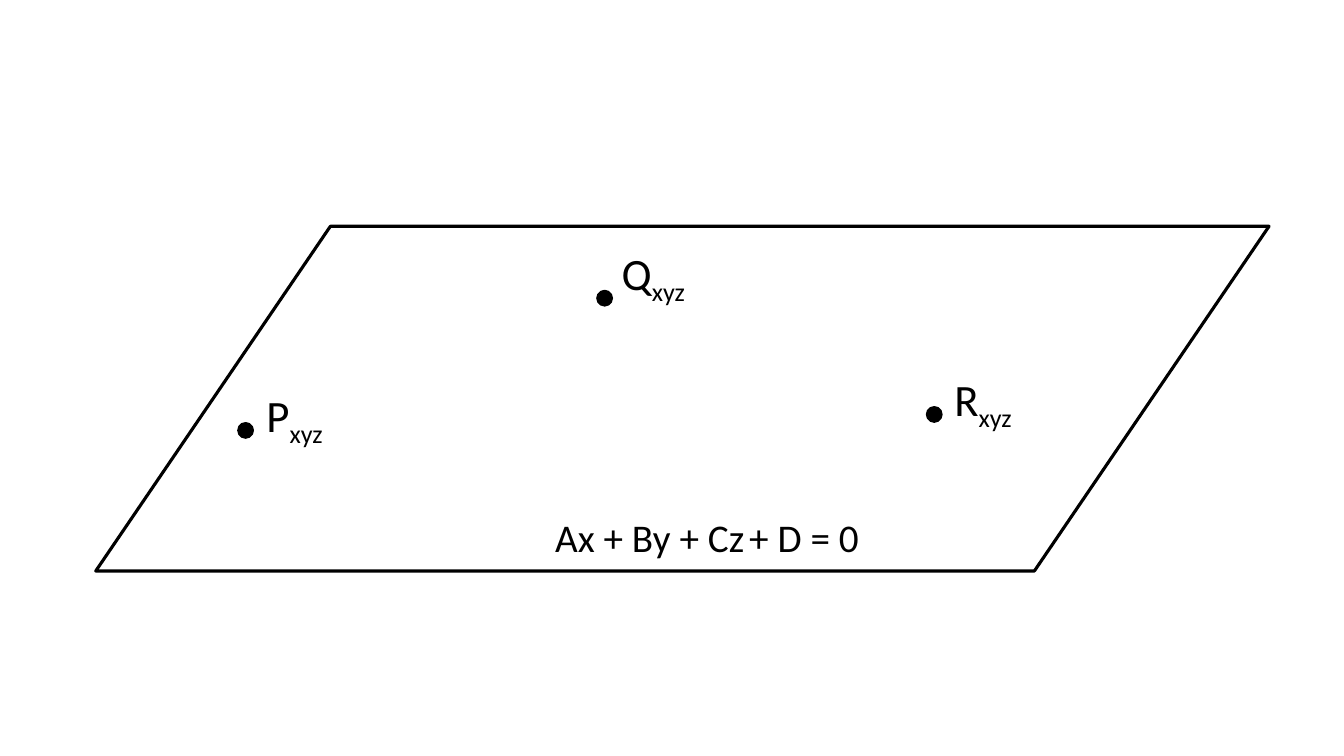
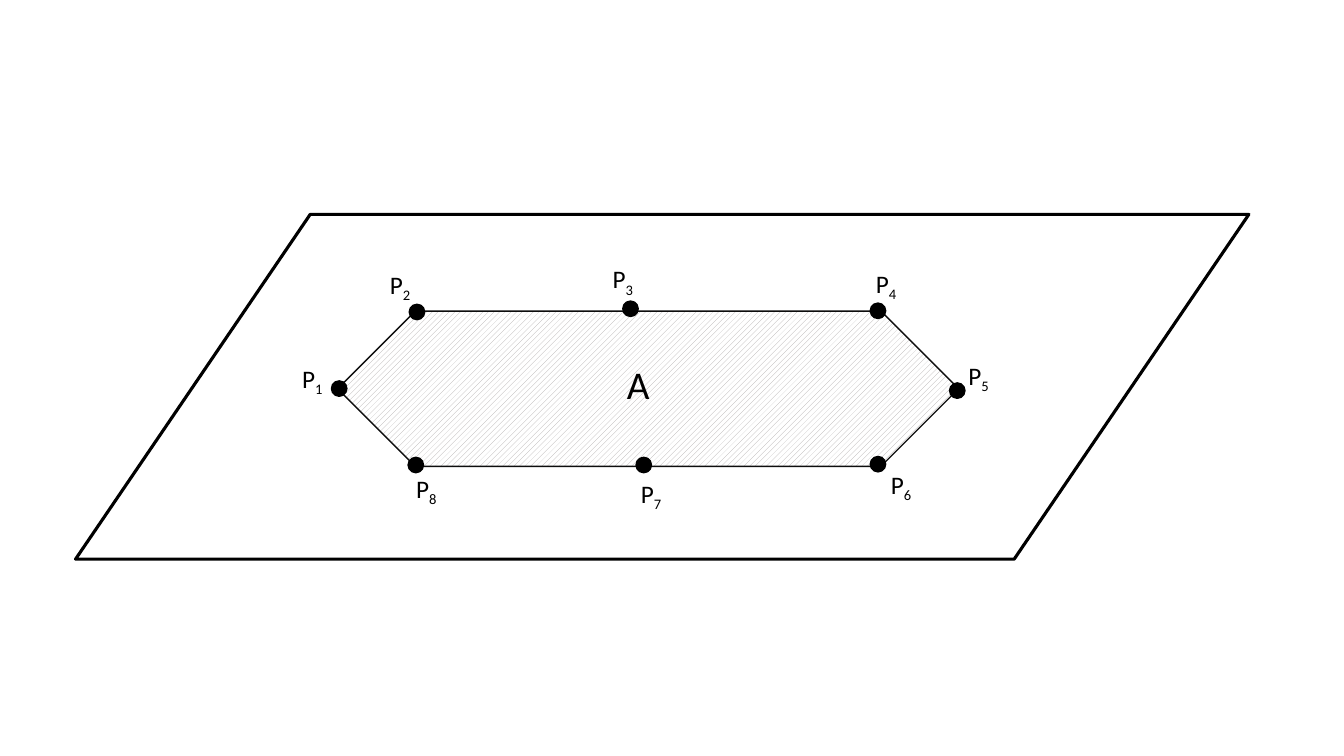
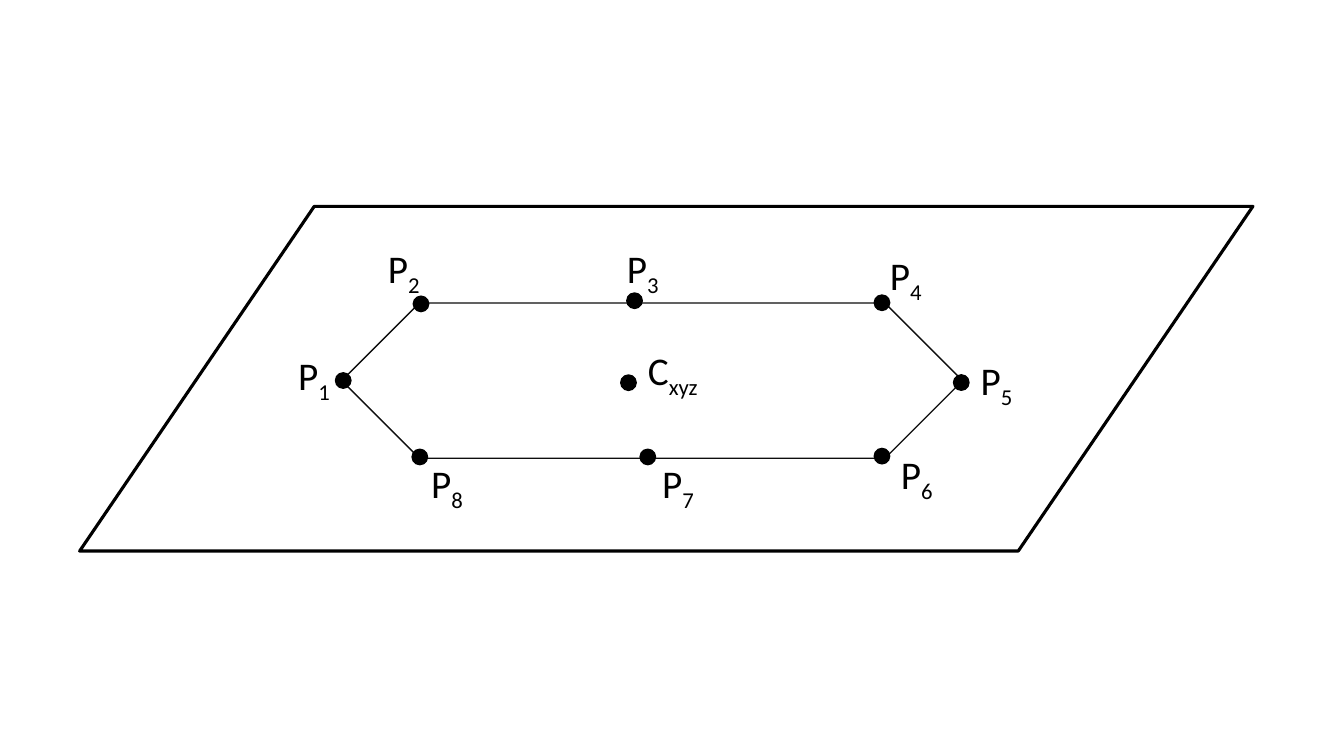
from pptx import Presentation
from pptx.dml.color import RGBColor
from pptx.enum.dml import MSO_PATTERN as Pattern
from pptx.enum.shapes import MSO_SHAPE as Shape
from pptx.enum.text import MSO_AUTO_SIZE as AutoSize
from pptx.util import Emu, Pt

BLACK = RGBColor(0x00, 0x00, 0x00)
OUTLINE = RGBColor(0x0D, 0x0D, 0x0D)
HATCH = RGBColor(0xAF, 0xAB, 0xAB)
WHITE = RGBColor(0xFF, 0xFF, 0xFF)

COLUMNS, ROWS = 80, 45
CELL = 152400
PLANE_SIZE = (69.84, 20.52)
REGION = (15.6, 5.76, 36.96, 9.24)
DOT = 0.92

# Dot centres, in cells from the corner of the plane
BORDER = [(15.69, 10.37), (20.32, 5.81), (33.03, 5.62), (47.76, 5.74),
          (52.48, 10.49), (47.76, 14.87), (33.82, 14.92), (20.25, 14.92)]
CORNERS = [("P", (8.92, 12.15), (0.65, -2.85)),
           ("R", (49.91, 11.2), (0.61, -2.86)),
           ("Q", (30.29, 4.28), (0.43, -3.44))]

# Label corners, in cells from the centre of their dot
SMALL_OFFSETS = [(-2.79, -1.81), (-2.2, -2.83), (-1.65, -2.98), (-0.72, -2.82),
                 (0.08, -2.11), (0.18, 0.01), (-0.76, 0.47), (-0.57, 0.2)]
LARGE_OFFSETS = [(-3.27, -2.05), (-2.56, -3.85), (-1.05, -3.64), (-0.12, -3.34),
                 (0.56, -1.87), (0.54, -0.65), (0.26, -0.13), (0.09, -0.13)]


def write(para, text, size=28, color=BLACK, font="Calibri", subscript=False):
    span = para.add_run()
    span.text = text
    span.font.name = font
    span.font.size = Pt(size)
    span.font.color.rgb = color
    if subscript:
        span._r.get_or_add_rPr().set("baseline", "-25000")


class Diagram:
    """Draws on the current page, in cells from the corner of its plane."""

    def __init__(self):
        self.deck = Presentation()
        self.deck.slide_width = Emu(COLUMNS * CELL)
        self.deck.slide_height = Emu(ROWS * CELL)

    def start(self, left, top):
        """Add a page with its plane at the given column and row."""
        self.page = self.deck.slides.add_slide(self.deck.slide_layouts[6])
        self.origin = left, top
        self.shape(Shape.FLOWCHART_DATA, 0, 0, *PLANE_SIZE, weight=2.25)

    def place(self, left, top, width, height):
        cells = self.origin[0] + left, self.origin[1] + top, width, height
        return [Emu(round(cell * CELL)) for cell in cells]

    def shape(self, kind, *area, fill=WHITE, line=BLACK, weight=1):
        shape = self.page.shapes.add_shape(kind, *self.place(*area))
        shape.shadow.inherit = False
        shape.fill.solid()
        shape.fill.fore_color.rgb = fill
        shape.line.color.rgb = line
        shape.line.width = Pt(weight)
        return shape

    def region(self, hatched=False):
        region = self.shape(Shape.OCTAGON, *REGION, line=OUTLINE)
        region.adjustments[0] = 0.5
        if hatched:
            region.fill.patterned()
            region.fill.pattern = Pattern.WIDE_UPWARD_DIAGONAL
            region.fill.fore_color.rgb = HATCH
            region.fill.back_color.rgb = WHITE

    def text(self, parts, *area, size=28, wrap=False):
        """Write parts in one line; every second part is a subscript."""
        box = self.page.shapes.add_textbox(*self.place(*area))
        box.text_frame.word_wrap = wrap
        box.text_frame.auto_size = AutoSize.SHAPE_TO_FIT_TEXT
        para = box.text_frame.paragraphs[0]
        for number, part in enumerate(parts):
            write(para, part, size=size, subscript=number % 2 == 1)

    def point(self, name, index, center, offset, box, **style):
        """Draw a dot and its label with a subscript."""
        x, y = center
        self.shape(Shape.OVAL, x - DOT / 2, y - DOT / 2, DOT, DOT, fill=BLACK)
        self.text([name, index], x + offset[0], y + offset[1], *box, **style)

    def border(self, offsets, box, size):
        for number, (center, offset) in enumerate(zip(BORDER, offsets), 1):
            self.point("P", str(number), center, offset, box, size=size)


def main():
    diagram = Diagram()

    diagram.start(5.7, 13.47)
    for name, center, offset in CORNERS:
        diagram.point(name, "xyz", center, offset, (11.16, 4.26), size=32, wrap=True)
    diagram.text(["Ax + By + Cz", " ", "+ D = 0"], 26.76, 16.77, 19.3, 3.78)

    diagram.start(4.5, 12.76)
    diagram.region(hatched=True)
    diagram.border(SMALL_OFFSETS, (2.42, 2.64), 18)
    diagram.text(["А"], 32.22, 8.38, 2.52, 3.42)

    diagram.start(4.74, 12.28)
    diagram.region()
    diagram.border(LARGE_OFFSETS, (3.15, 3.78), 28)
    diagram.point("C", "xyz", (32.67, 10.5), (0.57, -2.47), (4.14, 3.78))

    diagram.deck.save("out.pptx")


if __name__ == "__main__":
    main()
